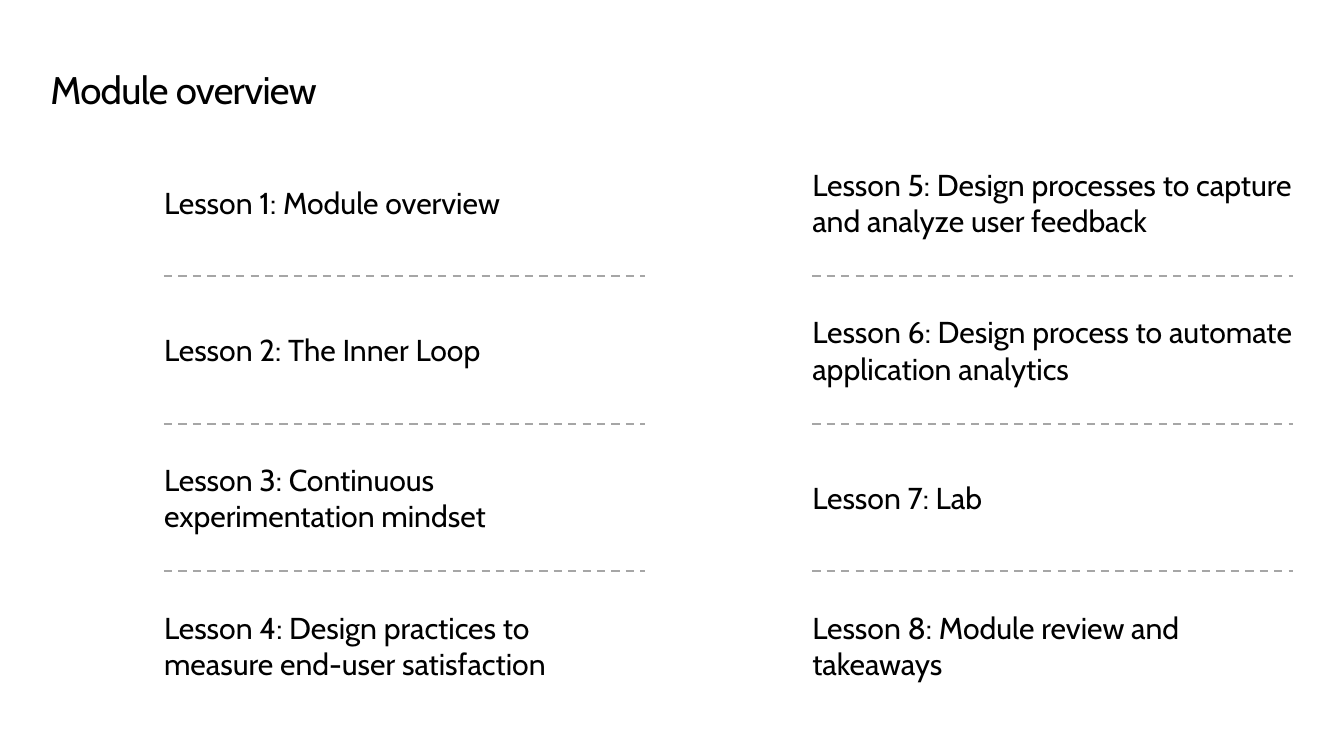
from pptx import Presentation
from pptx.dml.color import RGBColor
from pptx.enum.dml import MSO_LINE_DASH_STYLE as Dash
from pptx.enum.shapes import MSO_CONNECTOR as Connector
from pptx.enum.text import MSO_ANCHOR as Anchor, MSO_AUTO_SIZE as AutoSize
from pptx.oxml.ns import qn
from pptx.util import Pt
from lxml.etree import SubElement

COLUMNS = {
    119.5: [
        ("Lesson 1: Module overview", 1),
        ("Lesson 2: The Inner Loop", 1),
        ("Lesson 3: Continuous experimentation mindset", 2),
        ("Lesson 4: Design practices to measure end-user satisfaction", 2),
    ],
    591.8: [
        ("Lesson 5: Design processes to capture and analyze user feedback", 2),
        ("Lesson 6: Design process to automate application analytics", 2),
        ("Lesson 7: Lab", 1),
        ("Lesson 8: Module review and takeaways", 2),
    ],
}
COLUMN_WIDTH = 350.4
FIRST_MIDDLE = 147.3
ROW_PITCH = 107.6
LINE_HEIGHT = 26.6


class OverviewSlide:
    """Draws text and dividers on one slide in a shared style."""

    font = "Cabin"
    colours = {"text": "000000", "divider": "A6A6A6", "page": "FFFFFF"}

    def __init__(self, page):
        self.page = page
        fill = page.background.fill
        fill.solid()
        fill.fore_color.rgb = self.colour("page")

    def colour(self, name):
        return RGBColor.from_string(self.colours[name])

    def text(self, words, left, top, width, height, size, anchor=Anchor.MIDDLE):
        box = self.page.shapes.add_textbox(Pt(left), Pt(top), Pt(width), Pt(height))
        frame = box.text_frame
        frame.word_wrap = True
        frame.auto_size = AutoSize.SHAPE_TO_FIT_TEXT
        frame.vertical_anchor = anchor
        frame.margin_left = frame.margin_right = 0
        frame.margin_top = frame.margin_bottom = 0
        para = frame.paragraphs[0]
        para.text = words
        para.font.name = self.font
        para.font.size = Pt(size)
        para.font.color.rgb = self.colour("text")
        return para

    def title(self, words):
        para = self.text(words, 36.7, 49.7, 908, 32.4, 28, Anchor.TOP)
        para.line_spacing = Pt(32)
        para._p.get_or_add_pPr().get_or_add_defRPr().set("spc", "-50")

    def lesson(self, words, left, middle, lines):
        height = lines * LINE_HEIGHT
        para = self.text(words, left, middle - height / 2, COLUMN_WIDTH, height, 22)
        para.space_after = Pt(6)

    def divider(self, left, top):
        line = self.page.shapes.add_connector(
            Connector.STRAIGHT, Pt(left), Pt(top), Pt(left + COLUMN_WIDTH), Pt(top)
        )
        line.line.color.rgb = self.colour("divider")
        line.line.width = Pt(1.5)
        line.line.dash_style = Dash.DASH
        SubElement(line._element.spPr, qn("a:effectLst"))


def main():
    deck = Presentation()
    deck.slide_width, deck.slide_height = Pt(979.2), Pt(550.8)
    overview = OverviewSlide(deck.slides.add_slide(deck.slide_layouts[6]))
    overview.title("Module overview")
    for left, lessons in COLUMNS.items():
        for row, (words, lines) in enumerate(lessons):
            middle = FIRST_MIDDLE + row * ROW_PITCH
            if row:
                overview.divider(left, middle - ROW_PITCH / 2)
            overview.lesson(words, left, middle, lines)
    deck.save("out.pptx")


if __name__ == "__main__":
    main()
